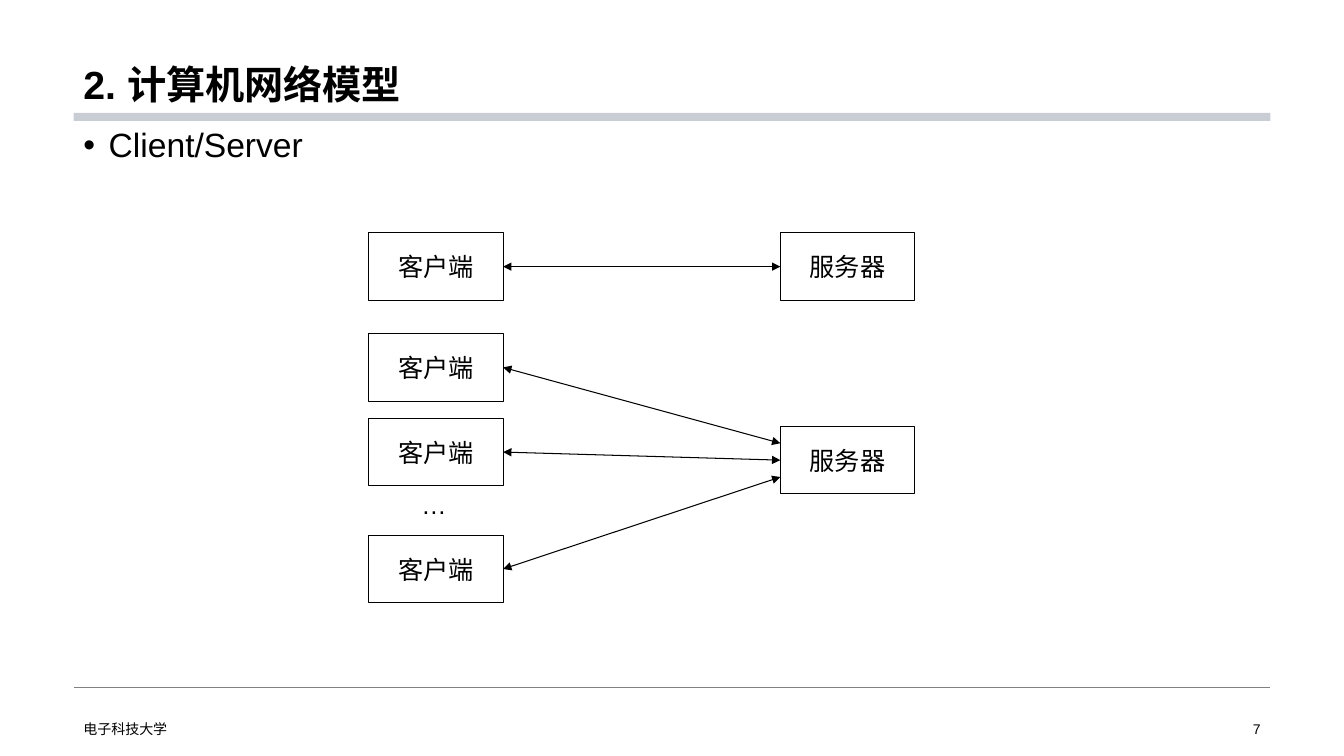
import pptx
import pptx.util
import pptx.dml.color
import pptx.enum.shapes
import pptx.enum.text
import pptx.oxml
import pptx.oxml.ns
import lxml.etree

# Content
W, H = 13.33, 7.5
LEFT, WIDTH = 0.73, 11.87
BOX_W, BOX_H = 1.33, 0.67
CLIENT_X, SERVER_X = 3.66, 7.74
FONT, BLACK = "Arial", "000000"

# Each group: server top, then (client top, share of the server's height it joins)
GROUPS = [
    (2.31, [(2.31, 0.5)]),
    (4.23, [(3.31, 0.25), (4.15, 0.5), (5.31, 0.75)]),
]

ALIGN = pptx.enum.text.PP_ALIGN
ANCHOR = pptx.enum.text.MSO_ANCHOR

# text, (left, top, width, height), size, bold, anchor, align, line spacing, wrap
TEXTS = [
    ("2. 计算机网络模型", (LEFT, 0, WIDTH, 1.12), 28, True, ANCHOR.BOTTOM, ALIGN.LEFT, 0.9, True),
    ("…", (4.08, 4.81, 0.45, 0.4), 18, False, ANCHOR.TOP, ALIGN.LEFT, 1.0, False),
    ("电子科技大学", (LEFT, 7.12, 4.53, 0.23), 10, False, ANCHOR.MIDDLE, ALIGN.LEFT, 1.0, True),
    ("7", (9.42, 7.12, 3.18, 0.23), 10, False, ANCHOR.MIDDLE, ALIGN.RIGHT, 1.0, True),
]
BULLET = ("Client/Server", (LEFT, 1.23, WIDTH, 5.49), 24, False, ANCHOR.TOP, ALIGN.LEFT, 0.9, True)


def rgb(color):
    return pptx.dml.color.RGBColor.from_string(color)


def inches(*lengths):
    return [pptx.util.Inches(v) for v in lengths]


def set_text(sp, text, size, bold, anchor, align, spacing, wrap):
    tf = sp.text_frame
    tf.text = text
    tf.word_wrap = wrap
    tf.vertical_anchor = anchor
    p = tf.paragraphs[0]
    p.alignment = align
    p.line_spacing = spacing
    f = p.runs[0].font
    f.name, f.size, f.bold = FONT, pptx.util.Pt(size), bold
    f.color.rgb = rgb(BLACK)
    return p


def add_text(slide, text, at, *style):
    return set_text(slide.shapes.add_textbox(*inches(*at)), text, *style)


def add_rect(slide, at, fill, line=None):
    sp = slide.shapes.add_shape(pptx.enum.shapes.MSO_SHAPE.RECTANGLE, *inches(*at))
    sp.shadow.inherit = False
    sp.fill.solid()
    sp.fill.fore_color.rgb = rgb(fill)
    if line:
        sp.line.color.rgb = rgb(line)
        sp.line.width = pptx.util.Pt(0.75)
    else:
        sp.line.fill.background()
    return sp


def add_node(slide, text, x, y):
    sp = add_rect(slide, (x, y, BOX_W, BOX_H), "FFFFFF", BLACK)
    set_text(sp, text, 18, False, ANCHOR.MIDDLE, ALIGN.CENTER, 1.0, False)


def add_line(slide, ends, color, width, arrows=False):
    c = slide.shapes.add_connector(pptx.enum.shapes.MSO_CONNECTOR.STRAIGHT, *inches(*ends))
    c.line.color.rgb = rgb(color)
    c.line.width = pptx.util.Pt(width)
    if arrows:
        ln = c.line._get_or_add_ln()
        for end in ("a:headEnd", "a:tailEnd"):
            lxml.etree.SubElement(ln, pptx.oxml.ns.qn(end), type="triangle")
    lxml.etree.SubElement(c._element.spPr, pptx.oxml.ns.qn("a:effectLst"))


def main():
    prs = pptx.Presentation()
    prs.slide_width, prs.slide_height = inches(W, H)
    slide = prs.slides.add_slide(prs.slide_layouts[6])

    # Footer rule and title bar
    add_line(slide, (LEFT, 6.82, LEFT + WIDTH, 6.82), "808080", 0.5)
    add_rect(slide, (LEFT, 1.12, WIDTH, 0.08), "C9CED5")

    # Title, ellipsis and footer texts
    for item in TEXTS:
        add_text(slide, *item)

    # Bulleted line
    pPr = add_text(slide, *BULLET)._p.get_or_add_pPr()
    indent = pptx.util.Inches(0.25)
    pPr.set("marL", str(indent))
    pPr.set("indent", str(-indent))
    lxml.etree.SubElement(pPr, pptx.oxml.ns.qn("a:buFont"), typeface=FONT)
    lxml.etree.SubElement(pPr, pptx.oxml.ns.qn("a:buChar"), char="•")

    # Clients joined to their server
    for server_y, clients in GROUPS:
        add_node(slide, "服务器", SERVER_X, server_y)
        for client_y, share in clients:
            add_node(slide, "客户端", CLIENT_X, client_y)
            ends = (CLIENT_X + BOX_W, client_y + BOX_H / 2,
                    SERVER_X, server_y + BOX_H * share)
            add_line(slide, ends, BLACK, 0.75, arrows=True)

    prs.save("out.pptx")


if __name__ == "__main__":
    main()
